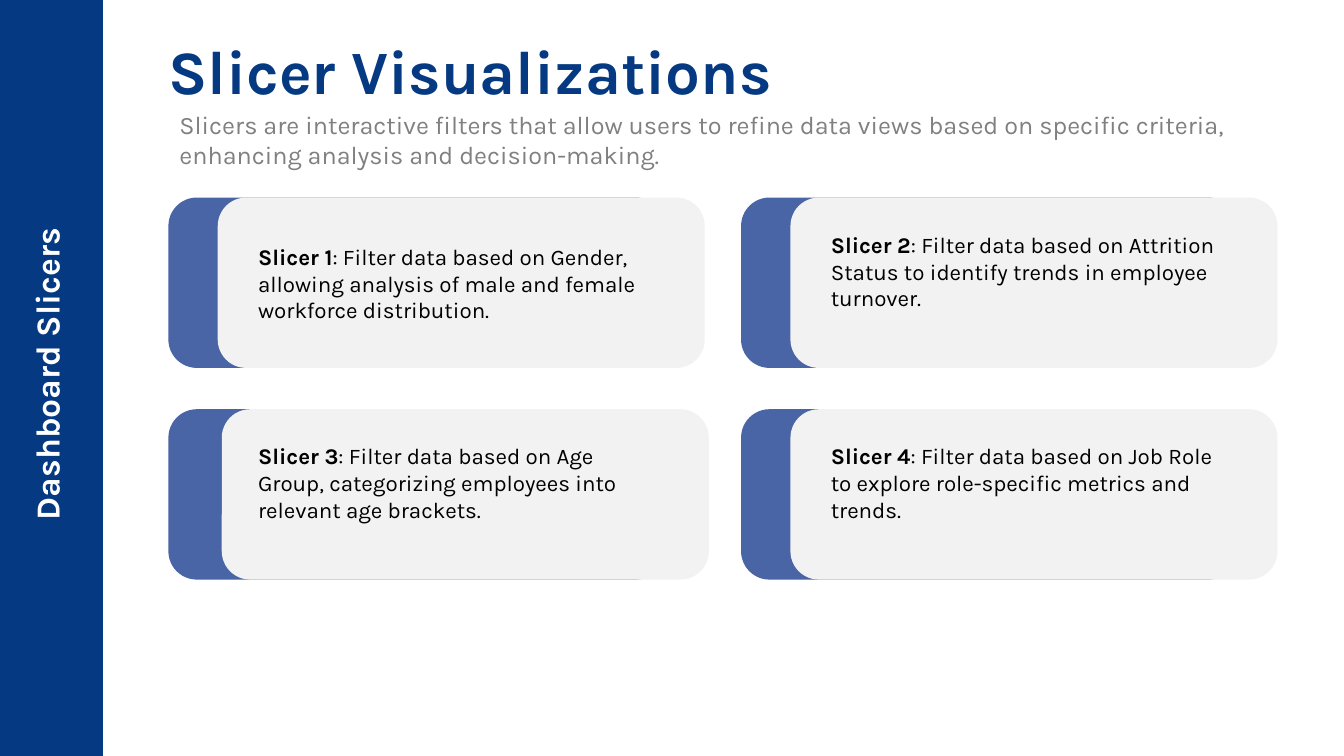
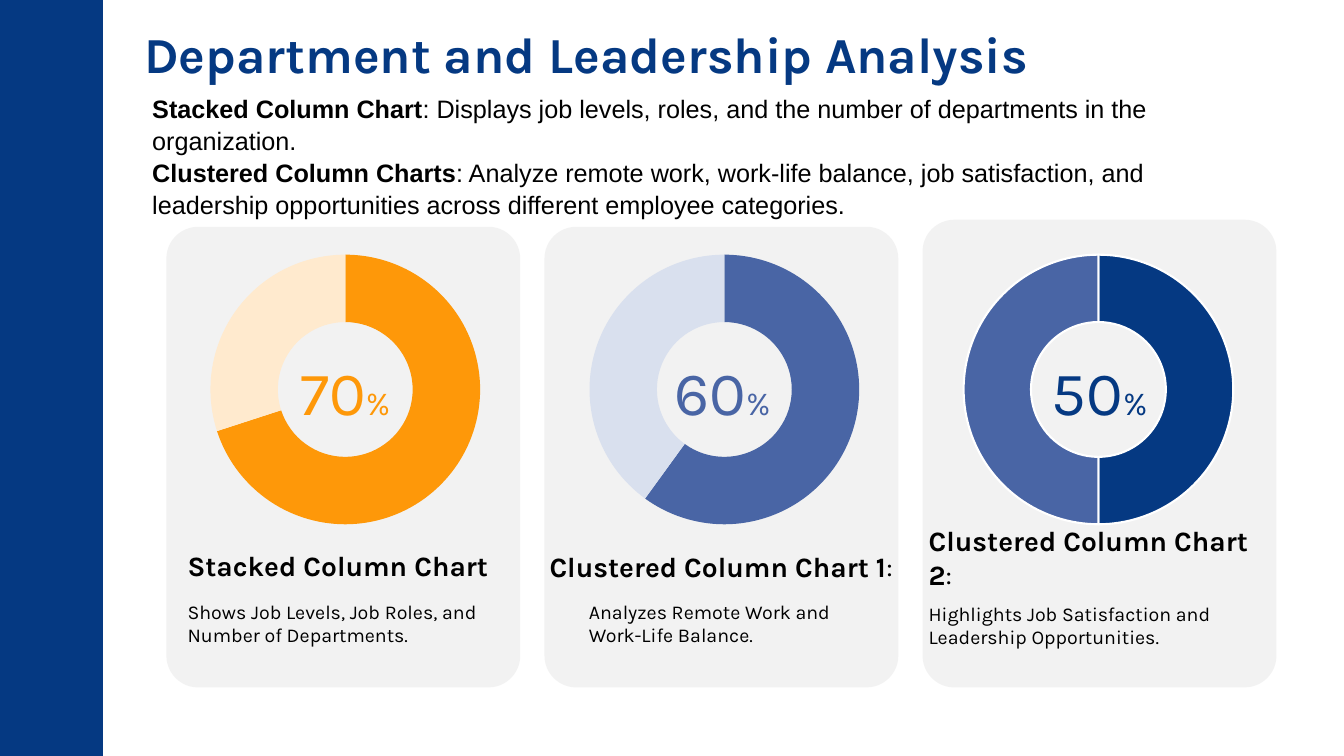
from dataclasses import dataclass
from typing import Any

from lxml.etree import SubElement as sub
from pptx import Presentation
from pptx.chart.data import CategoryChartData as ChartData
from pptx.dml.color import RGBColor as RGB
from pptx.enum.chart import XL_CHART_TYPE as Kind
from pptx.enum.shapes import MSO_SHAPE as Form
from pptx.enum.text import MSO_ANCHOR as Anchor
from pptx.enum.text import MSO_AUTO_SIZE as Fit
from pptx.enum.text import PP_ALIGN as Align
from pptx.oxml.ns import qn
from pptx.util import Inches, Pt


# Theme: colours, fonts and type sizes
@dataclass(frozen=True)
class Theme:
    navy: str = "053982"
    blue: str = "4965A5"
    pale: str = "D9E0EE"
    gold: str = "FE9809"
    cream: str = "FFEACE"
    panel: str = "F2F2F2"
    grey: str = "808080"
    white: str = "FFFFFF"
    black: str = "000000"
    face: str = "Karla"
    plain: str = "Arial"
    huge: int = 44
    title: int = 36
    side: int = 24
    head: int = 20
    lead: int = 18
    text: int = 16
    note: int = 14
    tick: int = 10


T = Theme()
Box = tuple[float, float, float, float]


@dataclass(frozen=True)
class Run:
    text: str
    size: int
    color: str = T.black
    bold: bool = False
    face: str = T.face


@dataclass(frozen=True)
class Slicer:
    name: str
    text: str
    inset: float = 0.49
    drop: float = 0.33


@dataclass(frozen=True)
class Card:
    head: list[Run]
    note: str
    share: int
    fills: tuple[str, str]
    top: float
    ring: float
    head_at: Box
    note_at: Box
    edge: bool = False


# Shared helpers
def place(shape: Any, box: Box) -> None:
    for key, val in zip(("left", "top", "width", "height"), box):
        setattr(shape, key, Inches(val))


def style(font: Any, run: Run) -> None:
    form = {"name": run.face, "size": Pt(run.size), "bold": run.bold}
    for key, val in form.items():
        setattr(font, key, val)
    font.color.rgb = RGB.from_string(run.color)


def write(shape: Any, lines: list[list[Run]], inset: Box = (0, 0, 0, 0),
          anchor: Any = Anchor.TOP, align: Any = Align.LEFT,
          space: float = 1.0) -> None:
    frame = shape.text_frame
    form = {"word_wrap": True, "auto_size": Fit.NONE,
            "vertical_anchor": anchor}
    sides = ("margin_left", "margin_top", "margin_right", "margin_bottom")
    form.update(zip(sides, map(Inches, inset)))
    for key, val in form.items():
        setattr(frame, key, val)
    for i, runs in enumerate(lines):
        para = frame.add_paragraph() if i else frame.paragraphs[0]
        look = {"alignment": align, "line_spacing": space,
                "space_before": Pt(0)}
        for key, val in look.items():
            setattr(para, key, val)
        for run in runs:
            item = para.add_run()
            item.text = run.text
            style(item.font, run)


def label(slide: Any, box: Box, runs: list[Run], **form: Any) -> Any:
    shape = slide.shapes.add_textbox(*map(Inches, box))
    write(shape, [runs], **form)
    return shape


def block(slide: Any, box: Box, fill: str, form: Any = Form.RECTANGLE,
          curve: float | None = None) -> None:
    shape = slide.shapes.add_shape(form, *map(Inches, box))
    shape.shadow.inherit = False
    shape.fill.solid()
    shape.fill.fore_color.rgb = RGB.from_string(fill)
    shape.line.fill.background()
    if curve is not None:
        shape.adjustments[0] = curve


def start(deck: Any, title: str, size: int, title_at: Box,
          body: list[list[Run]], body_at: Box, **form: Any) -> Any:
    """Add a slide with the side band, its title and its lead text."""
    slide = deck.slides.add_slide(deck.slide_layouts[1])
    block(slide, (0, 0, 1.02, 7.5), T.navy)
    head, lead = slide.placeholders
    place(head, title_at)
    write(head, [[Run(title, size, T.navy, True)]], (0, 0.07, 0, 0.07),
          Anchor.MIDDLE)
    place(lead, body_at)
    write(lead, body, anchor=Anchor.MIDDLE, **form)
    for para in lead.text_frame.paragraphs:
        props = para._p.get_or_add_pPr()
        props.set("marL", "0")
        props.set("indent", "0")
        sub(props, qn("a:buNone"))
    return slide


# Slide 1: slicers in a two by two grid
SLICERS = [
    Slicer("Slicer 1", ": Filter data based on Gender, allowing analysis of "
           "male and female workforce distribution.", drop=0.45),
    Slicer("Slicer 2", ": Filter data based on Attrition Status to identify "
           "trends in employee turnover."),
    Slicer("Slicer 3", ": Filter data based on Age Group, categorizing "
           "employees into relevant age brackets.", inset=0.53),
    Slicer("Slicer 4", ": Filter data based on Job Role to explore "
           "role-specific metrics and trends."),
]


def tile(slide: Any, item: Slicer, left: float, top: float) -> None:
    high = 1.69
    block(slide, (left, top, 4.92, high), T.blue, Form.ROUNDED_RECTANGLE)
    block(slide, (left + item.inset, top, 4.83, high), T.panel,
          Form.ROUNDED_RECTANGLE)
    label(slide, (left + 0.89, top + item.drop, 4.02, 1.04),
          [Run(item.name, T.text, bold=True), Run(item.text, T.text)])


def filters(deck: Any) -> None:
    lead = Run("Slicers are interactive filters that allow users to refine "
               "data views based on specific criteria, enhancing analysis "
               "and decision-making.", T.lead, T.grey)
    slide = start(deck, "Slicer Visualizations", T.huge,
                  (1.67, 0.3, 10.99, 0.78), [[lead]],
                  (1.78, 1.08, 10.89, 0.6), inset=(0, 0.07, 0, 0.07))
    side = label(slide, (-2.89, 3.46, 6.7, 0.5),
                 [Run("Dashboard Slicers", T.side, T.white, True)],
                 inset=(0.1, 0.05, 0.1, 0.05), align=Align.CENTER)
    side.rotation = 270
    for i, item in enumerate(SLICERS):
        row, col = divmod(i, 2)
        tile(slide, item, 1.67 + 5.68 * col, 1.96 + 2.1 * row)


# Slide 2: three cards with a ring chart each
CARDS = [
    Card([Run("Stacked Column Chart", T.head, bold=True)],
         "Shows Job Levels, Job Roles, and Number of Departments.",
         70, (T.gold, T.cream), 2.25, 1.9,
         (1.86, 5.52, 3.09, 0.26), (1.86, 5.95, 3.09, 0.52)),
    Card([Run("Clustered Column Chart 1", T.head, bold=True),
          Run(":", T.head)],
         "Analyzes Remote Work and Work-Life Balance.",
         60, (T.blue, T.pale), 2.25, 5.66,
         (5.45, 5.37, 3.51, 0.41), (5.84, 5.95, 2.72, 0.63)),
    Card([Run("Clustered Column Chart 2", T.head, bold=True),
          Run(":", T.head)],
         "Highlights Job Satisfaction and Leadership Opportunities.",
         50, (T.navy, T.blue), 2.18, 9.37,
         (9.21, 5.42, 3.45, 0.44), (9.21, 5.97, 3.45, 0.61), True),
]


def ring(slide: Any, card: Card) -> None:
    data = ChartData()
    data.categories = ["1", "2"]
    data.add_series("Series 1", (card.share, 100 - card.share))
    box = map(Inches, (card.ring, 2.38, 3.05, 2.94))
    chart = slide.shapes.add_chart(Kind.DOUGHNUT, *box, data).chart
    chart.has_legend = chart.has_title = False
    style(chart.font, Run("", T.tick))
    plot = chart.plots[0]
    plot.vary_by_categories = True
    for i, fill in enumerate(card.fills):
        form = plot.series[0].points[i].format
        form.fill.solid()
        form.fill.fore_color.rgb = RGB.from_string(fill)
        if card.edge:
            form.line.color.rgb = RGB.from_string(T.white)
            form.line.width = Pt(1.5)
        else:
            form.line.fill.background()
    # Fixed plot area, as shares of the chart frame
    area = chart._chartSpace.chart.plotArea
    for old in area.findall(qn("c:layout")):
        area.remove(old)
    frame = sub(area, qn("c:layout"))
    area.insert(0, frame)
    spot = sub(frame, qn("c:manualLayout"))
    rule = {"layoutTarget": "inner", "xMode": "edge", "yMode": "edge",
            "x": "0.06", "y": "0.05", "w": "0.88", "h": "0.91"}
    for key, val in rule.items():
        sub(spot, qn(f"c:{key}")).set("val", val)


def report(deck: Any) -> None:
    pairs = [
        ("Stacked Column Chart", ": Displays job levels, roles, and the "
         "number of departments in the organization."),
        ("Clustered Column Charts", ": Analyze remote work, work-life "
         "balance, job satisfaction, and leadership opportunities across "
         "different employee categories."),
    ]
    body = [[Run(name, T.lead, bold=True, face=T.plain),
             Run(text, T.lead, face=T.plain)] for name, text in pairs]
    slide = start(deck, "Department and Leadership Analysis", T.title,
                  (1.43, 0.14, 10.99, 0.78), body, (1.41, 0.89, 10.99, 1.31),
                  inset=(0.1, 0.05, 0.1, 0.05), space=1.05)
    for i, card in enumerate(CARDS):
        block(slide, (1.65 + 3.75 * i, card.top, 3.51, 6.82 - card.top),
              T.panel, Form.ROUNDED_RECTANGLE, 0.09)
        ring(slide, card)
        label(slide, (2.86 + 3.74 * i, 3.52, 1.13, 0.65),
              [Run(str(card.share), T.huge, card.fills[0]),
               Run("%", T.side, card.fills[0])],
              anchor=Anchor.MIDDLE, align=Align.CENTER, space=1.1)
        label(slide, card.head_at, card.head, anchor=Anchor.BOTTOM)
        label(slide, card.note_at, [Run(card.note, T.note)])


def main() -> None:
    deck = Presentation()
    deck.slide_width, deck.slide_height = Inches(13.33), Inches(7.5)
    filters(deck)
    report(deck)
    deck.save("out.pptx")


if __name__ == "__main__":
    main()
